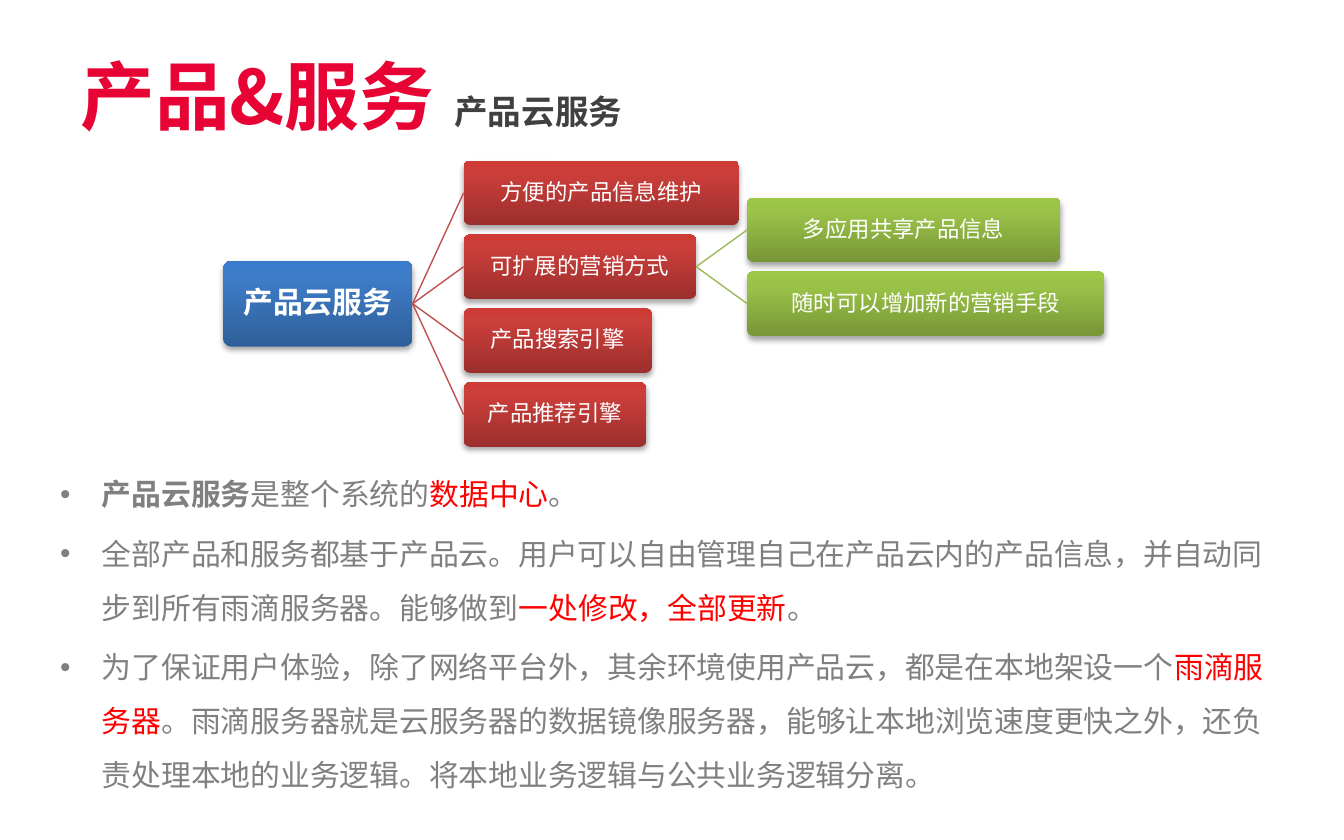
"""Builds the product cloud service slide: title, service tree and bullets."""
import copy

import pptx
import pptx.dml.color
import pptx.enum.shapes
import pptx.enum.text
import pptx.oxml
import pptx.oxml.ns
import pptx.util
from pptx.dml.color import RGBColor
from pptx.util import Inches, Pt

FONT = "Noto Sans CJK SC"
CRIMSON = RGBColor(0xE7, 0x03, 0x34)
DARK = RGBColor(0x40, 0x40, 0x40)
GRAY = RGBColor(0x80, 0x80, 0x80)
RED = RGBColor(0xFF, 0x00, 0x00)
WHITE = RGBColor(0xFF, 0xFF, 0xFF)

TITLE = [("产品&服务", 40, CRIMSON, True), (" ", 48, CRIMSON, True), ("产品云服务", 18, DARK, True)]

TREE = ("产品云服务", 1.41, [
    ("方便的产品信息维护", 2.05, []),
    ("可扩展的营销方式", 1.73, [
        ("多应用共享产品信息", 2.33, []),
        ("随时可以增加新的营销手段", 2.66, []),
    ]),
    ("产品搜索引擎", 1.4, []),
    ("产品推荐引擎", 1.36, []),
])

LEVELS = [
    {"height": 0.64, "size": 16, "bold": True, "line": None,
     "stops": [RGBColor(0x2F, 0x5F, 0x99), RGBColor(0x3D, 0x7C, 0xC7), RGBColor(0x3A, 0x7C, 0xCB)]},
    {"height": 0.48, "size": 12, "bold": False, "line": RGBColor(0xC0, 0x50, 0x4D),
     "stops": [RGBColor(0x9C, 0x2F, 0x2D), RGBColor(0xCB, 0x3E, 0x3A), RGBColor(0xCE, 0x3B, 0x37)]},
    {"height": 0.48, "size": 12, "bold": False, "line": RGBColor(0x9B, 0xBB, 0x59),
     "stops": [RGBColor(0x77, 0x97, 0x37), RGBColor(0x9B, 0xC3, 0x48), RGBColor(0x9D, 0xC7, 0x46)]},
]
STOP_POSITIONS = [0, 0.8, 1]
ROW_PITCH = 0.55
LEVEL_GAP = 0.38

BULLETS = [
    [("产品云服务", 16, GRAY, True), ("是整个系统的", 16, GRAY, False),
     ("数据中心", 16, RED, False), ("。", 16, GRAY, False)],
    [("全部产品和服务都基于产品云。用户可以自由管理自己在产品云内的产品信息，"
      "并自动同步到所有雨滴服务器。能够做到", 16, GRAY, False),
     ("一处修改，全部更新", 16, RED, False), ("。", 16, GRAY, False)],
    [("为了保证用户体验，除了网络平台外，其余环境使用产品云，都是在本地架设一个", 16, GRAY, False),
     ("雨滴服务器", 16, RED, False),
     ("。雨滴服务器就是云服务器的数据镜像服务器，能够让本地浏览速度更快之外，"
      "还负责处理本地的业务逻辑。将本地业务逻辑与公共业务逻辑分离。", 16, GRAY, False)],
]

NS = pptx.oxml.ns.nsdecls("a")
SHADOW = (f'<a:effectLst {NS}><a:outerShdw blurRad="{Pt(3.1)}" dist="{Pt(1.8)}" dir="5400000" '
          'rotWithShape="0"><a:srgbClr val="000000"><a:alpha val="35000"/></a:srgbClr>'
          '</a:outerShdw></a:effectLst>')
NO_EFFECT = f"<a:effectLst {NS}/>"


def add_xml(parent, xml):
    parent.append(pptx.oxml.parse_xml(xml))


def add_runs(p, runs):
    for text, size, color, bold in runs:
        r = p.add_run()
        r.text = text
        r.font.name, r.font.size, r.font.bold = FONT, Pt(size), bold
        r.font.color.rgb = color
        add_xml(r.font._element, f'<a:ea {NS} typeface="{FONT}"/>')


def add_text_box(slide, left, top, width, height):
    tf = slide.shapes.add_textbox(*map(Inches, (left, top, width, height))).text_frame
    tf.word_wrap = True
    return tf


def add_box(slide, text, left, middle, width, level):
    height = level["height"]
    sp = slide.shapes.add_shape(
        pptx.enum.shapes.MSO_SHAPE.ROUNDED_RECTANGLE,
        Inches(left), Inches(middle - height / 2), Inches(width), Inches(height))
    sp.adjustments[0] = 0.1
    sp.line.fill.background()
    sp.fill.gradient()
    sp.fill.gradient_angle = 90
    stops = sp._element.spPr.find(".//" + pptx.oxml.ns.qn("a:gsLst"))
    stops.append(copy.deepcopy(stops[-1]))
    for stop, color, position in zip(sp.fill.gradient_stops, level["stops"], STOP_POSITIONS):
        stop.color.rgb = color
        stop.position = position
    add_xml(sp._element.spPr, SHADOW)
    tf = sp.text_frame
    tf.word_wrap = True
    tf.vertical_anchor = pptx.enum.text.MSO_ANCHOR.MIDDLE
    tf.margin_left = tf.margin_right = tf.margin_top = tf.margin_bottom = Inches(0.01)
    p = tf.paragraphs[0]
    p.alignment = pptx.enum.text.PP_ALIGN.CENTER
    p.line_spacing = 0.9
    add_runs(p, [(text, level["size"], WHITE, level["bold"])])
    return sp


def add_branch(slide, node, left, middle, depth=0):
    text, width, children = node
    sp = add_box(slide, text, left, middle, width, LEVELS[depth])
    for i, child in enumerate(children):
        child_middle = middle + (i - (len(children) - 1) / 2) * ROW_PITCH
        child_sp = add_branch(slide, child, left + width + LEVEL_GAP, child_middle, depth + 1)
        line = slide.shapes.add_connector(pptx.enum.shapes.MSO_CONNECTOR.STRAIGHT, 0, 0, 0, 0)
        line.begin_connect(sp, 3)
        line.end_connect(child_sp, 1)
        line.line.color.rgb = LEVELS[depth + 1]["line"]
        line.line.width = Pt(0.75)
        add_xml(line._element.spPr, NO_EFFECT)
    return sp


def add_bullets(slide):
    tf = add_text_box(slide, 0.35, 3.36, 9.37, 2.6)
    for i, runs in enumerate(BULLETS):
        p = tf.add_paragraph() if i else tf.paragraphs[0]
        p.line_spacing = 1.5
        if i:
            p.space_before = Pt(3.2)
        pPr = p._p.get_or_add_pPr()
        pPr.set("marL", str(Inches(0.31)))
        pPr.set("indent", str(Inches(-0.31)))
        add_xml(pPr, f'<a:buFont {NS} typeface="Arial"/>')
        add_xml(pPr, f'<a:buChar {NS} char="•"/>')
        add_runs(p, runs)


def main():
    prs = pptx.Presentation()
    prs.slide_width, prs.slide_height = Inches(10), Inches(6.25)
    s = prs.slides.add_slide(prs.slide_layouts[6])
    add_runs(add_text_box(s, 0.5, 0.21, 4.69, 0.91).paragraphs[0], TITLE)
    add_branch(s, TREE, 1.66, 2.26)
    add_bullets(s)
    prs.save("out.pptx")


if __name__ == "__main__":
    main()
